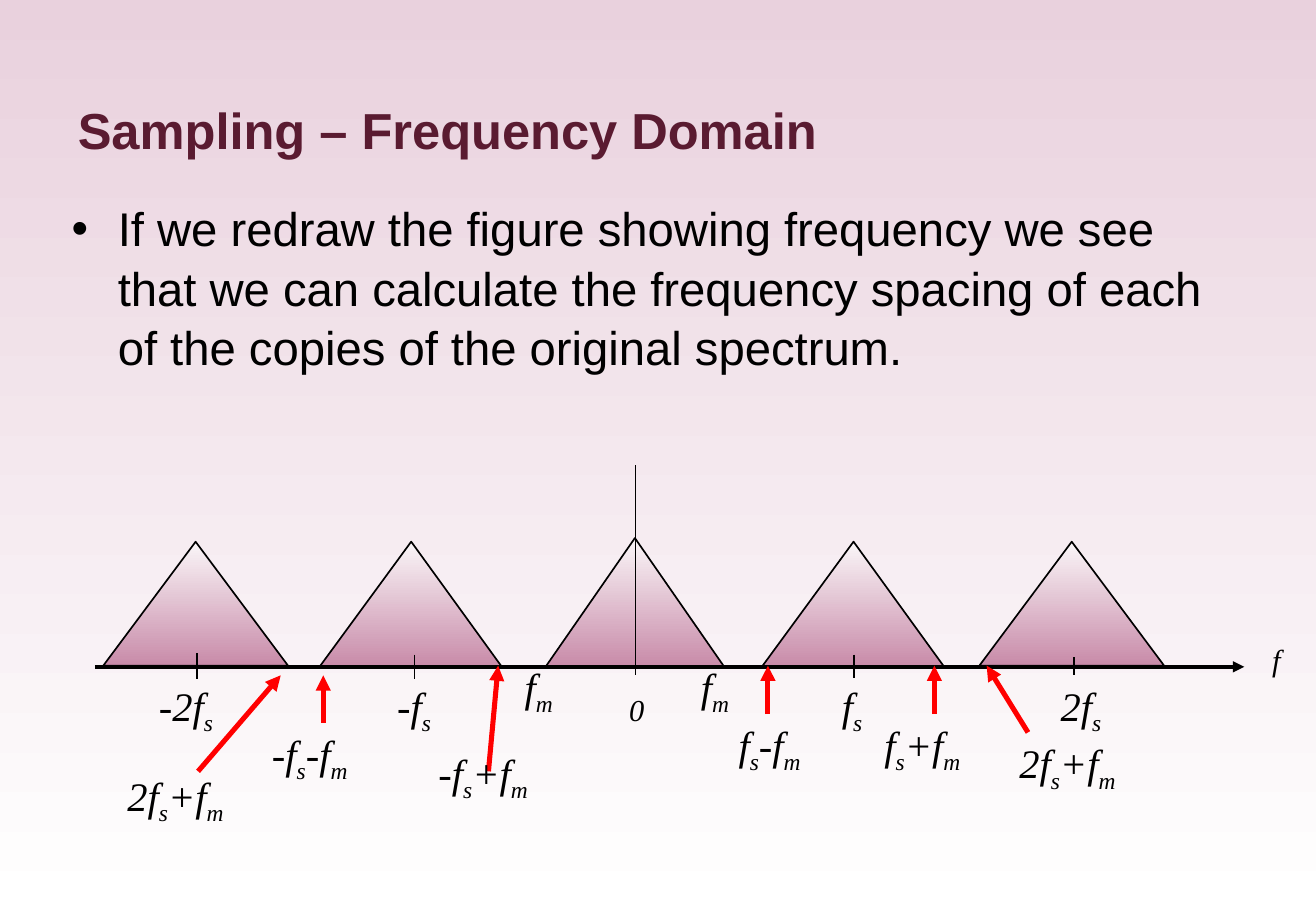
from itertools import groupby

from lxml import etree
from pptx import Presentation
from pptx.dml.color import RGBColor
from pptx.enum.shapes import MSO_CONNECTOR, MSO_SHAPE
from pptx.enum.text import MSO_ANCHOR, MSO_AUTO_SIZE, PP_ALIGN
from pptx.oxml import parse_xml
from pptx.oxml.ns import nsdecls, qn
from pptx.util import Inches, Pt


def color(hex_value):
    return RGBColor.from_string(hex_value)


def add_line(start, end, hex_value, width, arrow=False):
    points = [Inches(value) for value in (*start, *end)]
    connector = slide.shapes.add_connector(MSO_CONNECTOR.STRAIGHT, *points)
    connector.line.color.rgb = color(hex_value)
    connector.line.width = Pt(width)
    if arrow:
        tail = etree.SubElement(connector.line._get_or_add_ln(), qn("a:tailEnd"))
        tail.set("type", "triangle")
    etree.SubElement(connector._element.spPr, qn("a:effectLst"))


presentation = Presentation()
presentation.slide_width = Inches(10.83)
presentation.slide_height = Inches(7.5)
slide = presentation.slides.add_slide(presentation.slide_layouts[5])

# Background and triangles share a downward gradient
gradients = [(slide.background.fill, "E9D1DD", "FFFFFF")]

# Title with a soft text shadow
title = slide.shapes.title
title.left, title.top = Inches(0.55), Inches(0.54)
title.width, title.height = Inches(9.03), Inches(1.04)
title_frame = title.text_frame
title_frame.vertical_anchor = MSO_ANCHOR.MIDDLE
title_frame.auto_size = MSO_AUTO_SIZE.NONE
title_paragraph = title_frame.paragraphs[0]
title_paragraph.alignment = PP_ALIGN.LEFT
title_run = title_paragraph.add_run()
title_run.text = "Sampling – Frequency Domain"
title_run.font.size = Pt(30)
title_run.font.bold = True
title_run.font.color.rgb = color("5A1B31")
title_run._r.get_or_add_rPr().append(parse_xml(
    f'<a:effectLst {nsdecls("a")}><a:outerShdw dist="38100" dir="2700000">'
    '<a:srgbClr val="C0C0C0"/></a:outerShdw></a:effectLst>'))
title_run.font.name = "Arial"

# Bulleted explanation
body = slide.shapes.add_textbox(Inches(0.5), Inches(1.58), Inches(9.74), Inches(4.77))
body_frame = body.text_frame
body_frame.word_wrap = True
body_paragraph = body_frame.paragraphs[0]
body_paragraph.line_spacing = 1.05
properties = body_paragraph._p.get_or_add_pPr()
properties.set("marL", str(Inches(0.38)))
properties.set("indent", str(-Inches(0.38)))
etree.SubElement(properties, qn("a:buFont")).set("typeface", "Arial")
etree.SubElement(properties, qn("a:buChar")).set("char", "•")
body_run = body_paragraph.add_run()
body_run.text = ("If we redraw the figure showing frequency we see that we can calculate "
                 "the frequency spacing of each of the copies of the original spectrum.")
body_run.font.size = Pt(28)
body_run.font.name = "Arial"
body_run.font.color.rgb = color("000000")

for frame in (title_frame, body_frame):
    frame.margin_left = frame.margin_right = Inches(0.09)
    frame.margin_top = frame.margin_bottom = Inches(0.04)

# Spectrum copies: left, top, width, height, apex
spectra = [
    (8.06, 4.46, 1.52, 1.02, 0.5),
    (6.27, 4.46, 1.5, 1.03, 0.503),
    (4.49, 4.43, 1.47, 1.06, 0.5),
    (0.85, 4.46, 1.52, 1.02, 0.5),
    (2.63, 4.46, 1.5, 1.03, 0.503),
]
for *box, apex in spectra:
    spectrum = slide.shapes.add_shape(
        MSO_SHAPE.ISOSCELES_TRIANGLE, *[Inches(value) for value in box])
    spectrum.adjustments[0] = apex
    spectrum.shadow.inherit = False
    spectrum.line.color.rgb = color("000000")
    spectrum.line.width = Pt(1)
    gradients.append((spectrum.fill, "FAF6F8", "C88BA9"))

for fill, top_color, bottom_color in gradients:
    fill.gradient()
    fill.gradient_angle = 270
    for stop, hex_value in zip(fill.gradient_stops, (top_color, bottom_color)):
        stop.color.rgb = color(hex_value)

# Vertical axis and ticks: x, top, bottom
for x, top, bottom in [(5.23, 3.83, 5.56), (8.84, 5.41, 5.56), (3.41, 5.39, 5.59),
                       (7.03, 5.39, 5.58), (1.62, 5.38, 5.59)]:
    add_line((x, top), (x, bottom), "000000", 1)

# Frequency axis
add_line((0.78, 5.49), (10.24, 5.49), "000000", 2.25, arrow=True)

# Red pointers to the band edges
for start, end in [((6.32, 5.88), (6.32, 5.48)), ((4.02, 6.35), (4.1, 5.48)),
                   ((7.69, 5.88), (7.69, 5.48)), ((2.66, 5.95), (2.66, 5.56)),
                   ((8.46, 6.03), (8.12, 5.48)), ((1.63, 6.35), (2.31, 5.56))]:
    add_line(start, end, "FF0000", 3, arrow=True)

# Frequency labels: text, left, top, width, height, size; s and m are subscripts
labels = [
    ("0", 5.08, 5.64, 0.41, 0.4, 18),
    ("f", 10.37, 5.23, 0.38, 0.4, 18),
    ("-fs", 3.17, 5.56, 0.59, 0.5, 24),
    ("fs", 6.83, 5.56, 0.49, 0.5, 24),
    ("-2fs", 1.21, 5.56, 0.76, 0.5, 24),
    ("2fs", 8.63, 5.56, 0.65, 0.5, 24),
    ("fs-fm", 5.98, 5.88, 0.86, 0.5, 24),
    ("-fs+fm", 3.51, 6.11, 1.07, 0.5, 24),
    ("fm", 5.67, 5.4, 0.57, 0.5, 24),
    ("fm", 4.22, 5.4, 0.63, 0.5, 24),
    ("fs+fm", 7.18, 5.88, 0.98, 0.5, 24),
    ("-fs-fm", 2.14, 5.95, 0.96, 0.5, 24),
    ("2fs+fm", 8.29, 6.03, 1.13, 0.5, 24),
    ("2fs+fm", 0.95, 6.3, 1.13, 0.5, 24),
]
for text, *box, size in labels:
    label = slide.shapes.add_textbox(*[Inches(value) for value in box])
    label.text_frame.word_wrap = False
    label.text_frame.auto_size = MSO_AUTO_SIZE.SHAPE_TO_FIT_TEXT
    paragraph = label.text_frame.paragraphs[0]
    for is_subscript, letters in groupby(text, key=lambda letter: letter in "sm"):
        run = paragraph.add_run()
        run.text = "".join(letters)
        run.font.size = Pt(size)
        run.font.name = "Times New Roman"
        run.font.italic = True
        run.font.color.rgb = color("000000")
        if is_subscript:
            run._r.get_or_add_rPr().set("baseline", "-25000")

presentation.save("out.pptx")
